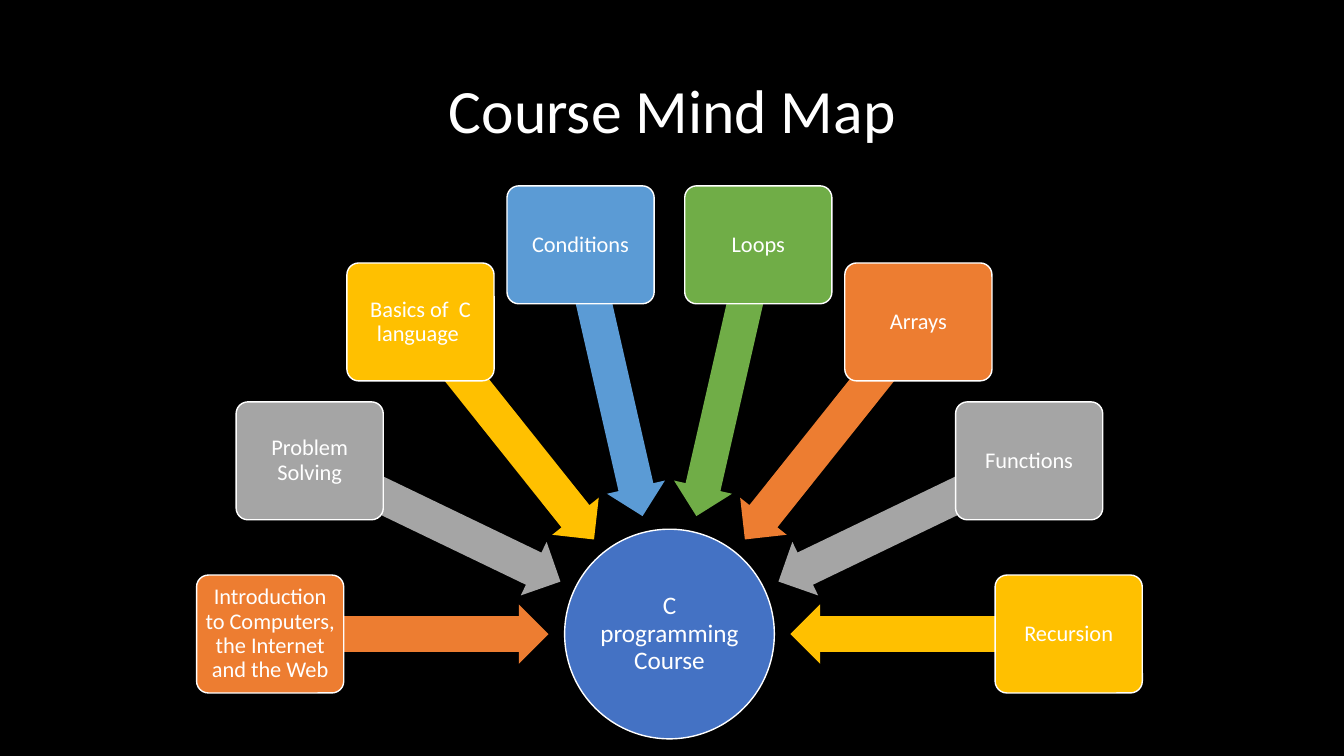
import math

from pptx import Presentation
from pptx.dml.color import RGBColor
from pptx.enum.shapes import MSO_SHAPE
from pptx.enum.text import MSO_ANCHOR, PP_ALIGN
from pptx.util import Inches, Pt

BLACK = RGBColor(0x00, 0x00, 0x00)
WHITE = RGBColor(0xFF, 0xFF, 0xFF)
NAVY = RGBColor(0x44, 0x72, 0xC4)
ORANGE = RGBColor(0xED, 0x7D, 0x31)
GRAY = RGBColor(0xA5, 0xA5, 0xA5)
GOLD = RGBColor(0xFF, 0xC0, 0x00)
BLUE = RGBColor(0x5B, 0x9B, 0xD5)
GREEN = RGBColor(0x70, 0xAD, 0x47)


class MindMap:
    """Holds the text style and the current slide."""

    font = "Calibri"
    text_color = WHITE
    outline = Pt(1)

    def __init__(self, prs):
        self.slide = prs.slides.add_slide(prs.slide_layouts[5])
        background = self.slide.background.fill
        background.solid()
        background.fore_color.rgb = BLACK

    def set_text(self, shape, text, size):
        frame = shape.text_frame
        frame.word_wrap = True
        frame.vertical_anchor = MSO_ANCHOR.MIDDLE
        paragraph = frame.paragraphs[0]
        paragraph.alignment = PP_ALIGN.CENTER
        paragraph.line_spacing = 0.9
        run = paragraph.add_run()
        run.text = text
        run.font.name = self.font
        run.font.size = Pt(size)
        run.font.color.rgb = self.text_color

    def title(self, text, left, top, width, height):
        title = self.slide.shapes.title
        title.left, title.top = Inches(left), Inches(top)
        title.width, title.height = Inches(width), Inches(height)
        self.set_text(title, text, 44)

    def shape(self, kind, center, size, color):
        (x, y), (width, height) = center, size
        shape = self.slide.shapes.add_shape(
            kind, Inches(x - width / 2), Inches(y - height / 2),
            Inches(width), Inches(height))
        shape.shadow.inherit = False
        shape.fill.solid()
        shape.fill.fore_color.rgb = color
        shape.line.fill.background()
        return shape

    def node(self, kind, center, size, color, text, font_size, inset):
        node = self.shape(kind, center, size, color)
        node.line.color.rgb = self.text_color
        node.line.width = self.outline
        frame = node.text_frame
        frame.margin_left = frame.margin_right = Inches(inset)
        frame.margin_top = frame.margin_bottom = Inches(inset)
        self.set_text(node, text, font_size)
        return node

    def hub(self, center, diameter, color, text):
        self.node(MSO_SHAPE.OVAL, center, (diameter, diameter), color, text, 18, 0.01)

    def topic(self, center, size, color, text):
        box = self.node(MSO_SHAPE.ROUNDED_RECTANGLE, center, size, color, text, 16, 0.03)
        box.adjustments[0] = 0.1

    def arrow(self, center, size, color, angle):
        arrow = self.shape(MSO_SHAPE.LEFT_ARROW, center, size, color)
        arrow.adjustments[0] = 0.6
        arrow.adjustments[1] = 0.5
        arrow.rotation = angle % 360


prs = Presentation()
prs.slide_width, prs.slide_height = Inches(13.33), Inches(7.5)
mind_map = MindMap(prs)

# Title and central course
mind_map.title("Course Mind Map", 0.92, 0.4, 11.5, 1.45)
HUB = (6.64, 6.29)
mind_map.hub(HUB, 2.08, NAVY, "C programming Course")

# Topics on a half circle, each with an arrow to the course
TOPICS = [
    ("Introduction to Computers, the Internet and the Web", ORANGE),
    ("Problem Solving", GRAY),
    ("Basics of  C language ", GOLD),
    ("Conditions", BLUE),
    ("Loops", GREEN),
    ("Arrays", ORANGE),
    ("Functions", GRAY),
    ("Recursion", GOLD),
]
ARROW_RADIUS, TOPIC_RADIUS = 2.58, 3.96


def around_hub(radius, angle):
    turn = math.radians(angle)
    return HUB[0] + radius * math.cos(turn), HUB[1] + radius * math.sin(turn)


for i, (name, color) in enumerate(TOPICS):
    angle = 180 + 180 * i / (len(TOPICS) - 1)
    mind_map.arrow(around_hub(ARROW_RADIUS, angle), (2.76, 0.59), color, angle)
    mind_map.topic(around_hub(TOPIC_RADIUS, angle), (1.46, 1.17), color, name)

prs.save("out.pptx")
